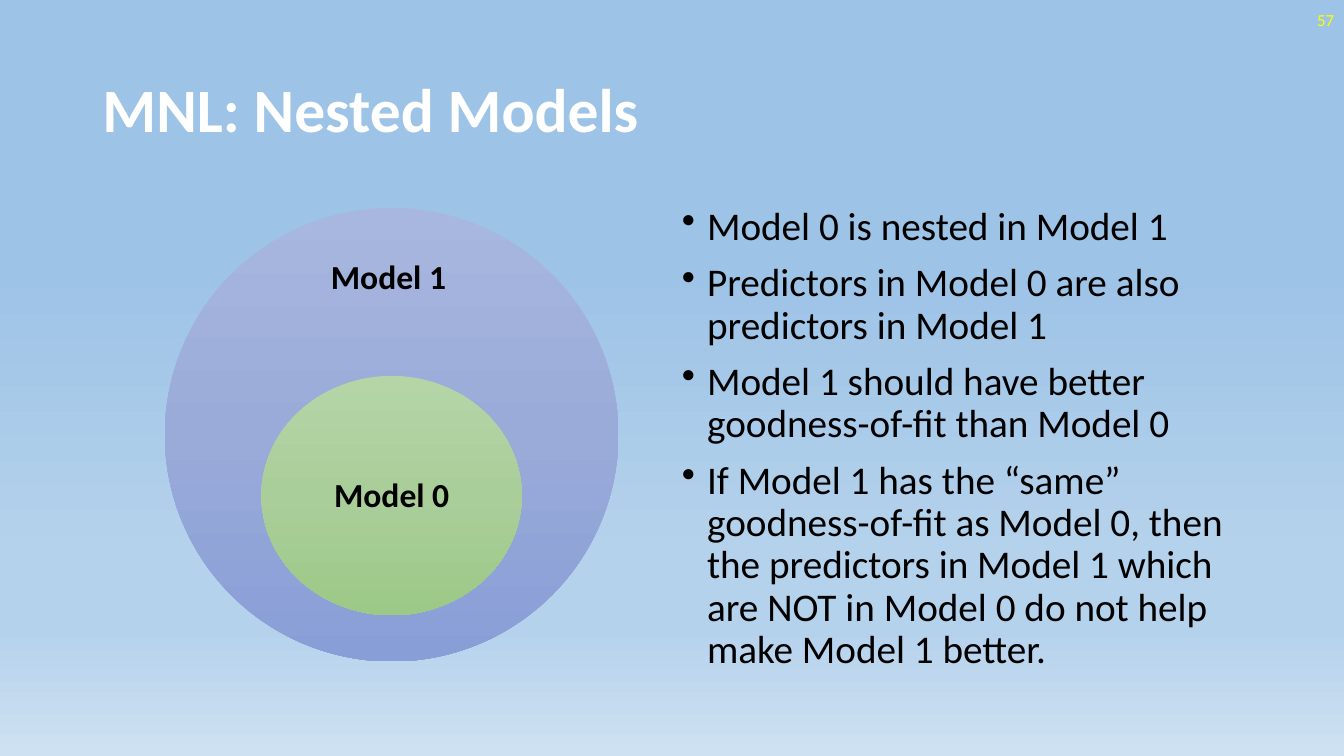
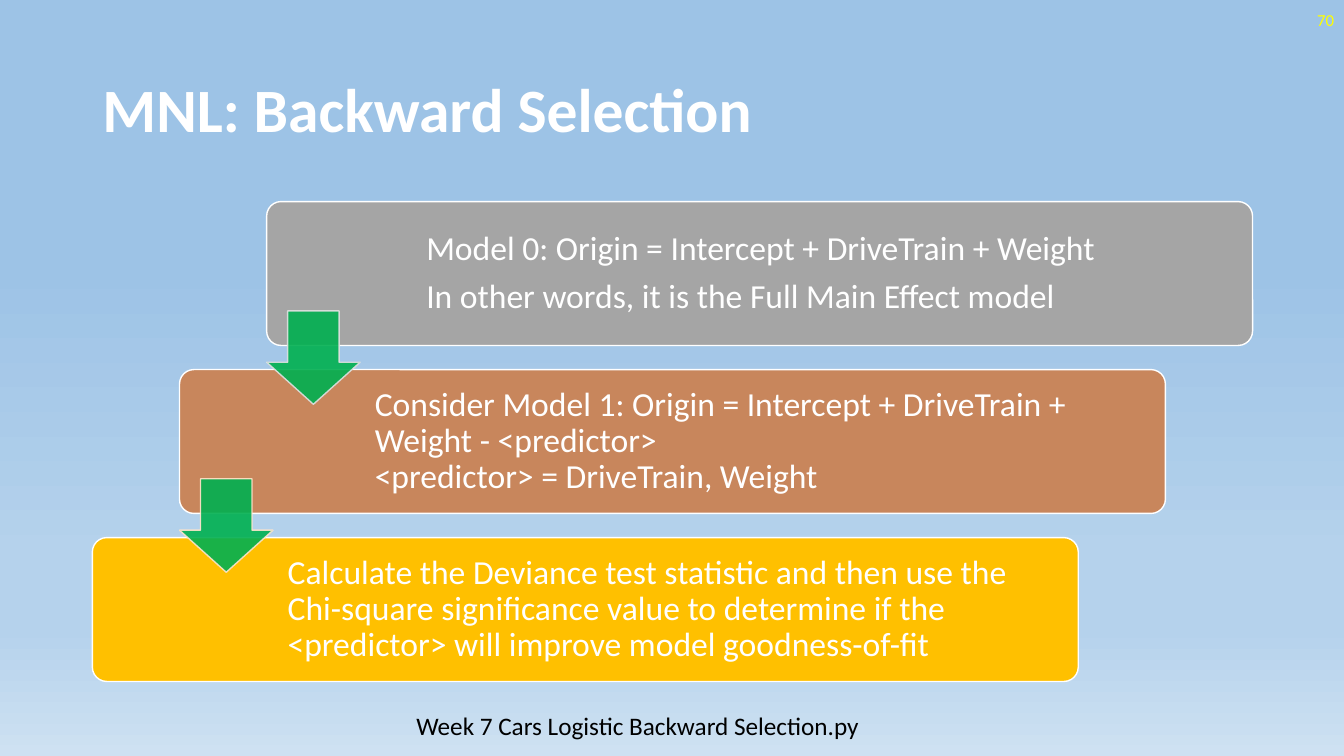
from pptx import Presentation
from pptx import util as u
from pptx.dml.color import RGBColor
from pptx.enum import shapes, text
from pptx.oxml import parse_xml
from pptx.oxml.ns import nsdecls, qn
from pptx.oxml.xmlchemy import OxmlElement

PX = 9525

THEME = {
    "font": "Calibri",
    "white": "FFFFFF", "black": "000000", "page": "FFFF00", "arrow": "00B050",
    "back": [(35, "9DC3E6"), (74, "B5D2EC"), (83, "B5D2EC"), (100, "CEE1F2")],
    "outer": [(0, "A8B7DF"), (50, "9AABD9"), (100, "889ED7")],
    "inner": [(0, "B5D5A7"), (50, "AACE9A"), (100, "9CC987")],
    "title": 44, "body": 28, "label": 24, "note": 18, "small": 12,
}

NESTED = {
    "title": "MNL: Nested Models",
    "page": "57",
    "points": [
        "Model 0 is nested in Model 1",
        "Predictors in Model 0 are also predictors in Model 1",
        "Model 1 should have better goodness-of-fit than Model 0",
        "If Model 1 has the “same” goodness-of-fit as Model 0, then the "
        "predictors in Model 1 which are NOT in Model 0 do not help make "
        "Model 1 better.",
    ],
    "rings": [
        ((157, 198, 432, 432), "outer", "Model 1", (257, 229, 226, 73)),
        ((249, 358, 248, 228), "inner", "Model 0", (285, 416, 176, 114)),
    ],
}

BACKWARD = {
    "title": "MNL: Backward Selection",
    "page": "70",
    "steps": [
        (["Model 0: Origin = Intercept + DriveTrain + Weight",
          "In other words, it is the Full Main Effect model"],
         "A5A5A5", 148, "E1E1E1"),
        (["Consider Model 1: Origin = Intercept + DriveTrain + Weight - "
          "<predictor>\n<predictor> = DriveTrain, Weight"],
         "C8865C", 182, "FFE5CB"),
        (["Calculate the Deviance test statistic and then use the Chi-square "
          "significance value to determine if the <predictor> will improve "
          "model goodness-of-fit"],
         "FFC000", 182, None),
    ],
    "note": "Week 7 Cars Logistic Backward Selection.py",
}


def rgb(code):
    return RGBColor.from_string(code)


def px(*vals):
    return [u.Emu(v * PX) for v in vals]


def grade(fill, root, stops):
    fill.gradient()
    fill.gradient_angle = 270
    rack = next(root.iter(qn("a:gsLst")))
    for old in list(rack):
        rack.remove(old)
    for pos, code in stops:
        rack.append(parse_xml(
            f'<a:gs {nsdecls("a")} pos="{pos * 1000}">'
            f'<a:srgbClr val="{code}"/></a:gs>'))


def fade(shape, pct):
    for tone in shape._element.spPr.iter(qn("a:srgbClr")):
        alpha = OxmlElement("a:alpha")
        alpha.set("val", str(pct * 1000))
        tone.append(alpha)


def dot(para):
    props = para._p.get_or_add_pPr()
    props.set("marL", str(24 * PX))
    props.set("indent", str(-24 * PX))
    mark = OxmlElement("a:buChar")
    mark.set("char", "•")
    props.append(mark)


def write(frame, lines, size, color, bold=False, align="LEFT", anchor="MIDDLE",
          inset=None, gap=0, lead=0.9, bullet=False):
    frame.word_wrap = True
    frame.auto_size = text.MSO_AUTO_SIZE.NONE
    frame.vertical_anchor = getattr(text.MSO_ANCHOR, anchor)
    if inset:
        (frame.margin_left, frame.margin_top,
         frame.margin_right, frame.margin_bottom) = px(*inset)
    for i, line in enumerate(lines):
        para = frame.paragraphs[0] if i == 0 else frame.add_paragraph()
        if bullet:
            dot(para)
        para.alignment = getattr(text.PP_ALIGN, align)
        para.line_spacing = lead
        para.space_before = u.Pt(gap if i else 0)
        for j, part in enumerate(line.split("\n")):
            if j:
                para.add_line_break()
            run = para.add_run()
            run.text = part
            run.font.name = THEME["font"]
            run.font.size = u.Pt(THEME[size])
            run.font.bold = bold
            run.font.color.rgb = rgb(THEME[color])


def label(slide, box, lines, size, color, **style):
    write(slide.shapes.add_textbox(*px(*box)).text_frame,
          lines, size, color, **style)


def draw(slide, kind, box, fill=None, line=None, adj=()):
    shape = slide.shapes.add_shape(getattr(shapes.MSO_SHAPE, kind), *px(*box))
    shape.shadow.inherit = False
    for i, val in enumerate(adj):
        shape.adjustments[i] = val
    if fill:
        shape.fill.solid()
        shape.fill.fore_color.rgb = rgb(fill)
    if line:
        shape.line.color.rgb = rgb(line)
        shape.line.width = u.Pt(1)
    else:
        shape.line.fill.background()
    return shape


def start(deck, data):
    slide = deck.slides.add_slide(deck.slide_layouts[5])
    title = slide.shapes.title
    title.left, title.top, title.width, title.height = px(88, 38, 1104, 139)
    write(title.text_frame, [data["title"]], "title", "white", bold=True)
    label(slide, (992, 0, 288, 38), [data["page"]], "small", "page",
          align="RIGHT", lead=1)
    return slide


def nested(deck, data):
    slide = start(deck, data)
    for box, tone, name, spot in data["rings"]:
        ring = draw(slide, "OVAL", box)
        grade(ring.fill, ring._element, THEME[tone])
        label(slide, spot, [name], "label", "black", bold=True, align="CENTER")
    label(slide, (640, 192, 552, 457), data["points"], "body", "black",
          anchor="TOP", gap=10, bullet=True)


def backward(deck, data):
    slide = start(deck, data)
    steps = data["steps"]
    spots = [(88 + 83 * (len(steps) - 1 - i), 192 + 160 * i)
             for i in range(len(steps))]
    for (left, top), (lines, fill, pad, _) in zip(spots, steps):
        card = draw(slide, "ROUNDED_RECTANGLE", (left, top, 939, 137),
                    fill, THEME["white"], [0.1])
        write(card.text_frame, lines, "label", "white",
              inset=(pad, 10, 10, 10), gap=8.4)
    for (left, top), (_, _, _, edge) in zip(spots, steps):
        if edge:
            arrow = draw(slide, "DOWN_ARROW", (left, top + 104, 89, 89),
                         THEME["arrow"], edge, [0.55, 0.45])
            fade(arrow, 90)
    label(slide, (387, 672, 460, 38), [data["note"]], "note", "black",
          anchor="TOP", lead=1)


def main():
    deck = Presentation()
    deck.slide_width, deck.slide_height = px(1280, 720)
    master = deck.slide_master
    grade(master.background.fill, master.element, THEME["back"])
    nested(deck, NESTED)
    backward(deck, BACKWARD)
    deck.save("out.pptx")


if __name__ == "__main__":
    main()
